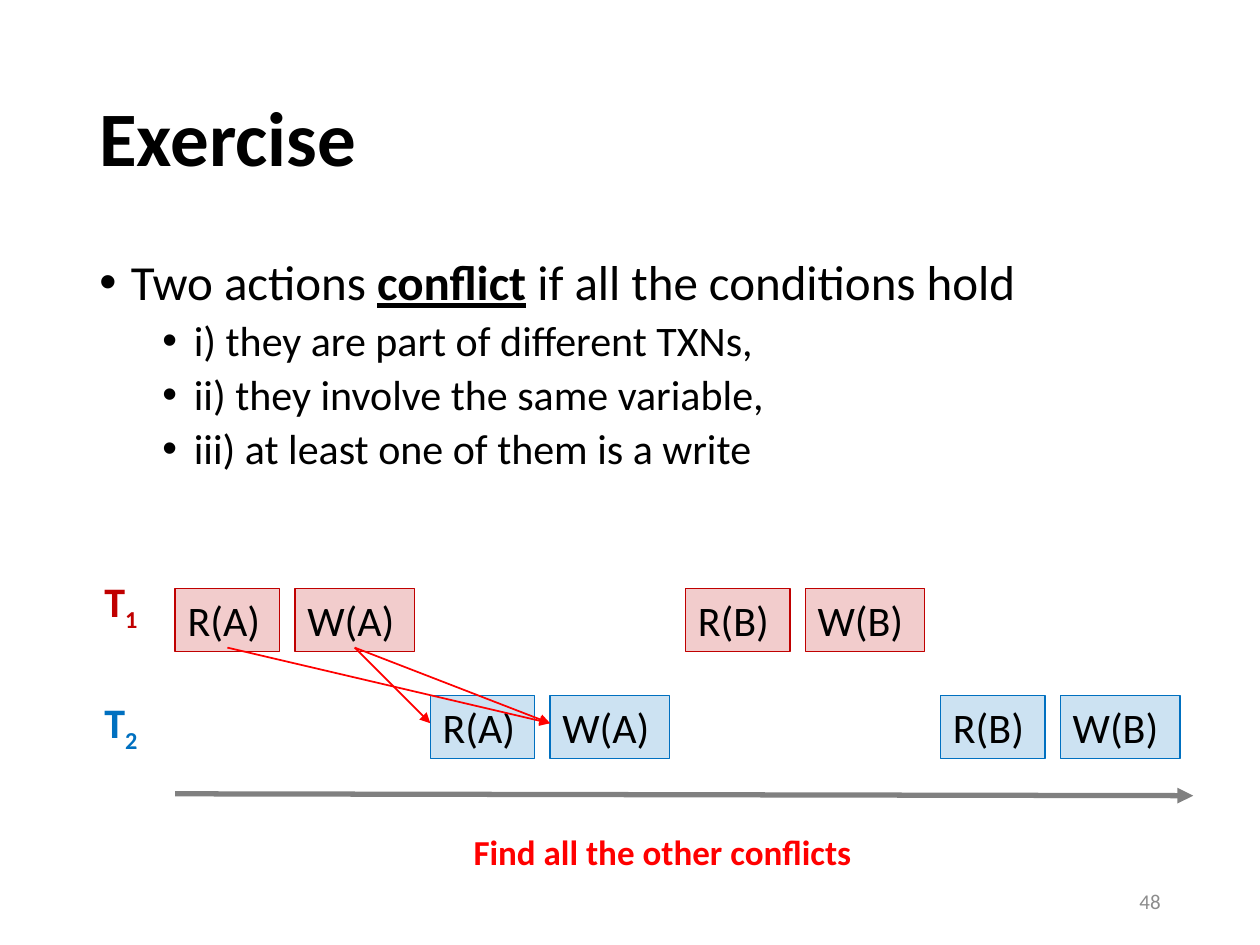
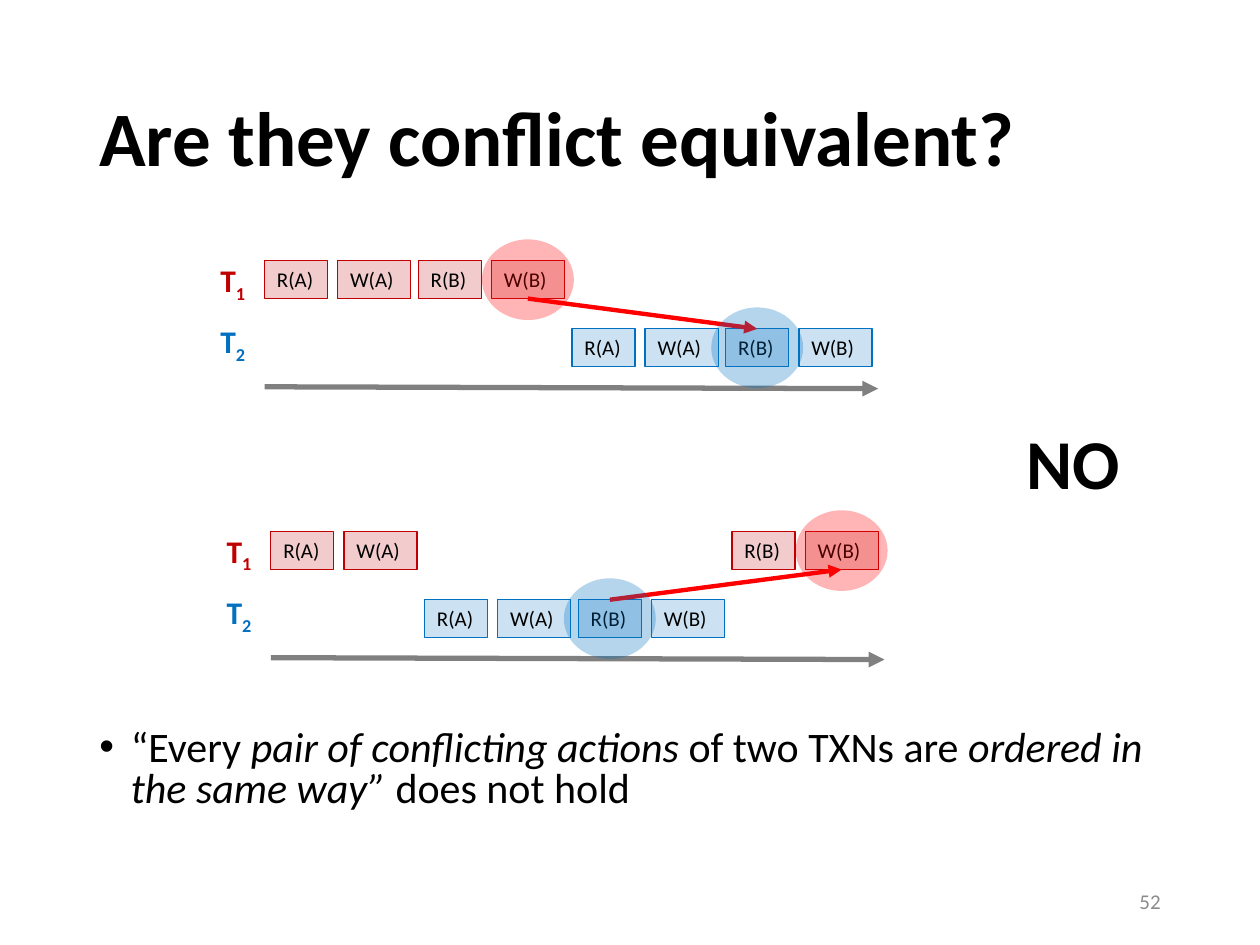
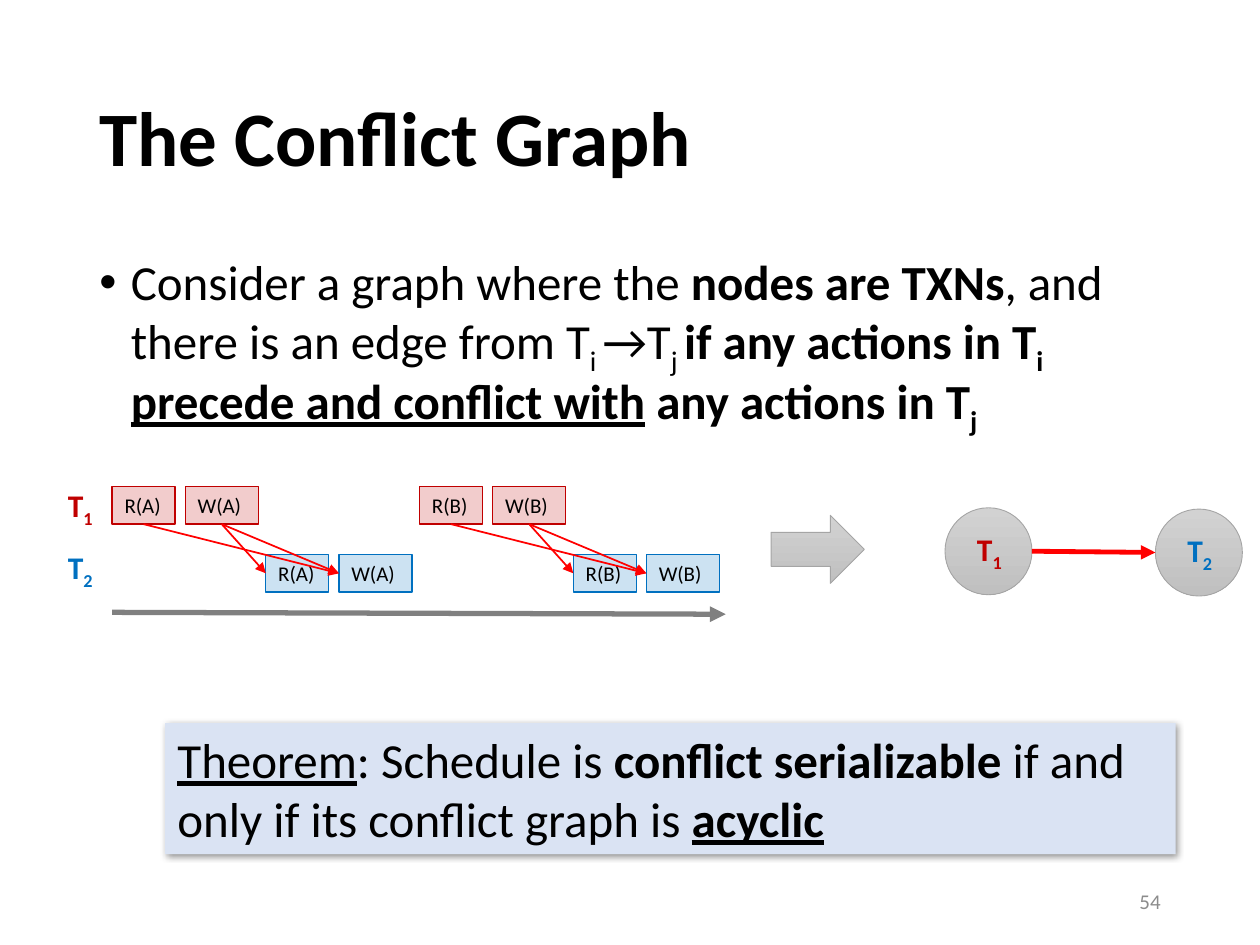
from collections import Counter
from dataclasses import dataclass

from lxml import etree
from pptx import Presentation
from pptx import util as u
from pptx.dml.color import RGBColor
from pptx.enum import shapes, text
from pptx.oxml.ns import qn

COLORS = {
    "ink": "000000",
    "number": "8C8C8C",
    "T1": "C00000",
    "T2": "0070C0",
    "conflict": "FF0000",
    "axis": "808080",
    "node_top": "D2D2D2",
    "node_bottom": "C0C0C0",
    "node_line": "A5A5A5",
    "theorem": "DAE3F3",
}
FONT = "Calibri"
COLUMNS, ROWS = 100, 75
CELL = u.Inches(0.1)
ACTIONS = ("R(A)", "W(A)", "R(B)", "W(B)")


@dataclass
class Scale:
    action_size: int
    label_size: int
    read_width: float
    write_width: float
    height: float
    pair_pitch: float
    action_pitch: float
    row_pitch: float
    label_left: float
    label_top: float
    label_pitch: float
    label_width: float
    label_height: float
    axis_top: float
    axis_length: float
    lift: float


LARGE = Scale(24, 24, 8.3, 9.5, 5, 20.25, 9.5, 8.5, -6.6, -1.5, 9.6, 4.8, 5, 16.3, 80.8, 0.3)
SMALL = Scale(12, 18, 5, 5.8, 3, 12.2, 5.8, 5.4, -4.5, -0.5, 4.9, 4.1, 4, 10, 48.7, 0)


@dataclass
class Box:
    left: float
    top: float
    width: float
    height: float

    def point(self, across, down):
        return self.left + across * self.width, self.top + down * self.height


def grid(*cells):
    return [u.Emu(round(cell * CELL)) for cell in cells]


def rgb(name):
    return RGBColor.from_string(COLORS[name])


def add_xml(parent, tag, **attributes):
    return etree.SubElement(parent, qn(tag), attributes)


def write(frame, paragraphs, size=28, color="ink", bold=False, align="LEFT", anchor="TOP",
          wrap=True, line=1.0, bullets=(), space=0):
    frame.word_wrap = wrap
    frame.vertical_anchor = text.MSO_ANCHOR[anchor]
    sizes = size if isinstance(size, tuple) else (size,) * len(paragraphs)
    for index, runs in enumerate(paragraphs):
        paragraph = frame.add_paragraph() if index else frame.paragraphs[0]
        if bullets:
            properties = paragraph._p.get_or_add_pPr()
            properties.set("marL", str(u.Inches(bullets[index])))
            properties.set("indent", str(u.Inches(-0.25)))
            add_xml(properties, "a:buFont", typeface="Arial")
            add_xml(properties, "a:buChar", char="•")
        paragraph.alignment = text.PP_ALIGN[align]
        paragraph.line_spacing = line
        paragraph.space_before = u.Pt(space if index else 0)
        for content, marks in runs:
            run = paragraph.add_run()
            run.text = content
            font = run.font
            font.name, font.size = FONT, u.Pt(sizes[index])
            font.color.rgb = rgb(color)
            font.bold = bold or "b" in marks
            font.italic = "i" in marks
            font.underline = "u" in marks
            if "s" in marks:
                run._r.get_or_add_rPr().set("baseline", "-25000")


class Deck:
    def __init__(self):
        self.presentation = Presentation()
        self.presentation.slide_width, self.presentation.slide_height = grid(COLUMNS, ROWS)
        self.slide = None

    def start(self, title, number):
        self.slide = self.presentation.slides.add_slide(self.presentation.slide_layouts[6])
        self.words(Box(6.9, 4, 86.2, 14.5), [[(title, "b")]], size=44, anchor="MIDDLE", line=0.9)
        self.words(Box(70.6, 69.5, 22.5, 4), [[(str(number), "")]], size=12, color="number",
                   align="RIGHT", anchor="MIDDLE")

    def words(self, box, paragraphs, **style):
        shape = self.slide.shapes.add_textbox(*grid(box.left, box.top, box.width, box.height))
        write(shape.text_frame, paragraphs, **style)

    def shape(self, kind, box, fill=None, alpha=None, line=None, width=0.75):
        shape = self.slide.shapes.add_shape(
            shapes.MSO_SHAPE[kind], *grid(box.left, box.top, box.width, box.height))
        shape.shadow.inherit = False
        if fill:
            shape.fill.solid()
            shape.fill.fore_color.rgb = rgb(fill)
        else:
            shape.fill.gradient()
            shape.fill.gradient_angle = 270
            for stop, name in zip(shape.fill.gradient_stops, ("node_top", "node_bottom")):
                stop.color.rgb = rgb(name)
        if alpha:
            color = shape._element.spPr.find(qn("a:solidFill"))[0]
            add_xml(color, "a:alpha", val=str(alpha * 1000))
        if line:
            shape.line.color.rgb = rgb(line)
            shape.line.width = u.Pt(width)
        else:
            shape.line.fill.background()
        return shape

    def arrow(self, start, end, color="conflict", width=1):
        connector = self.slide.shapes.add_connector(
            shapes.MSO_CONNECTOR.STRAIGHT, *grid(*start, *end))
        connector.line.color.rgb = rgb(color)
        connector.line.width = u.Pt(width)
        properties = connector._element.spPr
        add_xml(properties.find(qn("a:ln")), "a:tailEnd", type="triangle")
        add_xml(properties, "a:effectLst")

    def label(self, transaction, left, top, scale=SMALL):
        self.words(Box(left, top, scale.label_width, scale.label_height),
                   [[("T", ""), (transaction[1], "s")]],
                   size=scale.label_size, color=transaction, bold=True, wrap=False)

    def schedule(self, left, top, order, scale=SMALL):
        axis = top + scale.axis_top
        self.arrow((left, axis), (left + scale.axis_length, axis + 0.15), "axis", 3)
        for row, transaction in enumerate(("T1", "T2")):
            self.label(transaction, left + scale.label_left,
                       top + scale.label_top + row * scale.label_pitch, scale)
        boxes, done = {}, Counter()
        for slot, digit in enumerate(order):
            transaction, action = "T" + digit, ACTIONS[done[digit]]
            done[digit] += 1
            pair, second = divmod(slot, 2)
            box = Box(left + pair * scale.pair_pitch + second * scale.action_pitch,
                      top + (int(digit) - 1) * scale.row_pitch,
                      scale.write_width if action[0] == "W" else scale.read_width,
                      scale.height)
            shape = self.shape("RECTANGLE", box, transaction, 20, transaction)
            write(shape.text_frame, [[(action, "")]], size=scale.action_size)
            boxes[transaction, action] = box
        return boxes

    def conflicts(self, boxes, variable, scale=SMALL):
        for first, second in ("WR", "RW", "WW"):
            x1, y1 = boxes["T1", f"{first}({variable})"].point(0.5, 1)
            x2, y2 = boxes["T2", f"{second}({variable})"].point(0, 0.5)
            self.arrow((x1, y1 - scale.lift), (x2, y2 - scale.lift))

    def highlight(self, box, color):
        x, y = box.point(0.5, 0.5)
        self.shape("OVAL", Box(x - 3.65, y - 3.2, 7.3, 6.4), color, 29)

    def node(self, transaction, left, top):
        box = Box(left, top, 6.9, 6.9)
        self.shape("OVAL", box, line="node_line", width=0.5)
        self.label(transaction, left + 1.55, top + 1.25)
        return box


def exercise(deck):
    deck.start("Exercise", 48)
    conditions = ("i) they are part of different TXNs,", "ii) they involve the same variable,",
                  "iii) at least one of them is a write")
    definition = [("Two actions ", ""), ("conflict", "bu"), (" if all the conditions hold", "")]
    deck.words(Box(6.9, 20, 86.2, 20), [definition] + [[(condition, "")] for condition in conditions],
               size=(28, 24, 24, 24), line=0.9, space=5, bullets=(0.25, 0.75, 0.75, 0.75))
    deck.words(Box(36.6, 65.4, 32.9, 4.4), [[("Find all the other conflicts", "b")]],
               size=20, color="conflict")
    boxes = deck.schedule(13.9, 46.7, "11221122", LARGE)
    deck.conflicts(boxes, "A", LARGE)


def equivalence(deck):
    deck.start("Are they conflict equivalent?", 52)
    for left, top, order in ((21, 20.7, "11112222"), (21.5, 42.2, "11222211")):
        boxes = deck.schedule(left, top, order)
        write_box, read_box = boxes["T1", "W(B)"], boxes["T2", "R(B)"]
        ends = [write_box.point(0.5, 1), read_box.point(0.5, 0)]
        deck.arrow(*sorted(ends), width=2.5)
        deck.highlight(write_box, "conflict")
        deck.highlight(read_box, "T2")
    deck.words(Box(80.5, 32.8, 9.5, 7.7), [[("NO", "b")]], size=40, wrap=False)
    deck.words(Box(6.9, 57.5, 86.2, 10),
               [[("“Every ", ""), ("pair of conflicting actions", "i"), (" of two TXNs are ", ""),
                 ("ordered in the same way” ", "i"), ("does not hold", "")]],
               size=24, line=0.8, bullets=(0.25,))


def conflict_graph(deck):
    deck.start("The Conflict Graph", 54)
    deck.words(Box(6.9, 20, 86.2, 16),
               [[("Consider a graph where the ", ""), ("nodes are TXNs", "b"),
                 (", and there is an edge from T", ""), ("i ", "s"), ("→T", ""), ("j ", "s"),
                 ("if any actions in T", "b"), ("i ", "bs"), ("precede and conflict with", "bu"),
                 (" any actions in T", "b"), ("j", "bs")]],
               line=0.9, bullets=(0.25,))
    boxes = deck.schedule(8.9, 38.6, "11221122")
    for variable in "AB":
        deck.conflicts(boxes, variable)
    deck.shape("RIGHT_ARROW", Box(61.2, 40.9, 7.4, 5.4), line="node_line", width=0.5)
    first, second = deck.node("T1", 75, 40.3), deck.node("T2", 91.7, 40.4)
    deck.arrow(first.point(1, 0.5), second.point(0, 0.5), width=2.75)
    theorem = deck.shape("RECTANGLE", Box(13.1, 57.4, 80.2, 10.4), "theorem")
    effects = theorem._element.spPr.find(qn("a:effectLst"))
    shadow = add_xml(effects, "a:outerShdw", blurRad=str(u.Pt(4)), dist=str(u.Pt(1)),
                     dir="2700000", algn="tl", rotWithShape="0")
    add_xml(add_xml(shadow, "a:srgbClr", val=COLORS["ink"]), "a:alpha", val="40000")
    write(theorem.text_frame,
          [[("Theorem", "u"), (": Schedule is ", ""), ("conflict serializable ", "b"),
            ("if and only if its conflict graph is ", ""), ("acyclic", "bu")]])


def main():
    deck = Deck()
    for build in (exercise, equivalence, conflict_graph):
        build(deck)
    deck.presentation.save("out.pptx")


if __name__ == "__main__":
    main()
